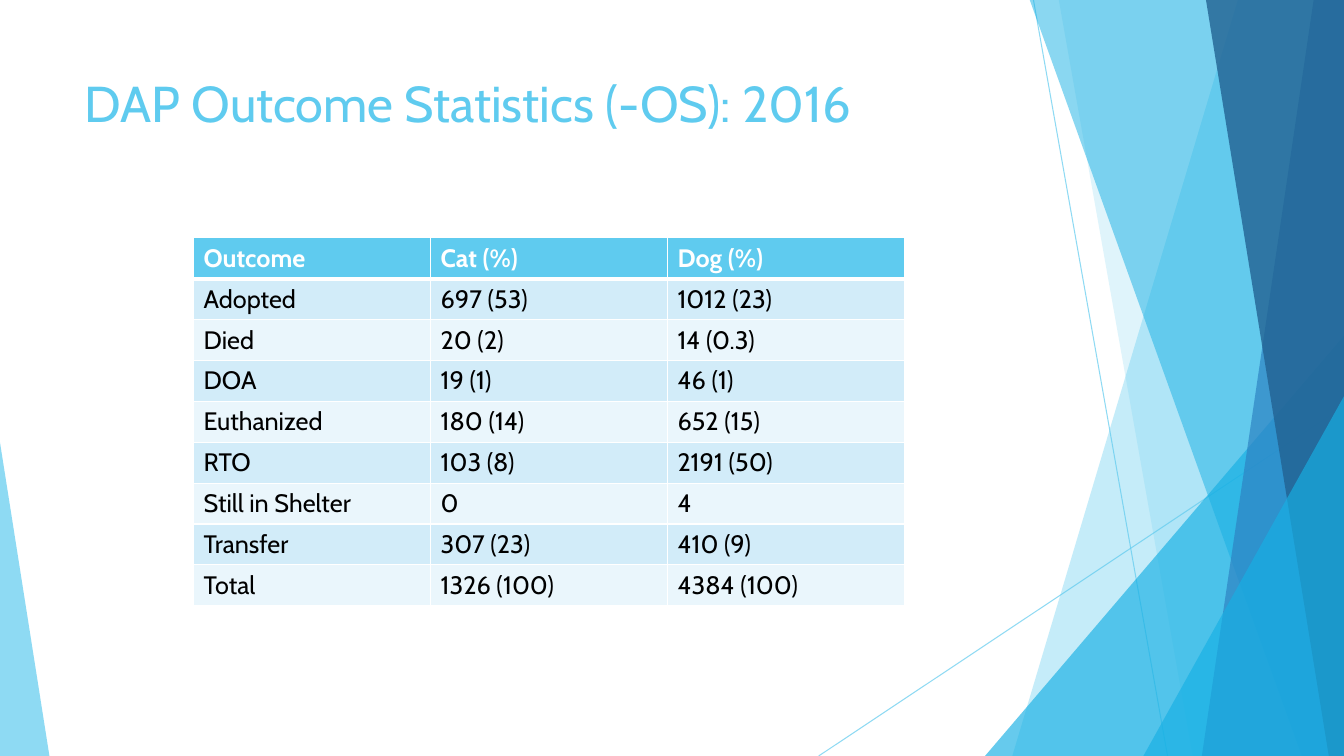
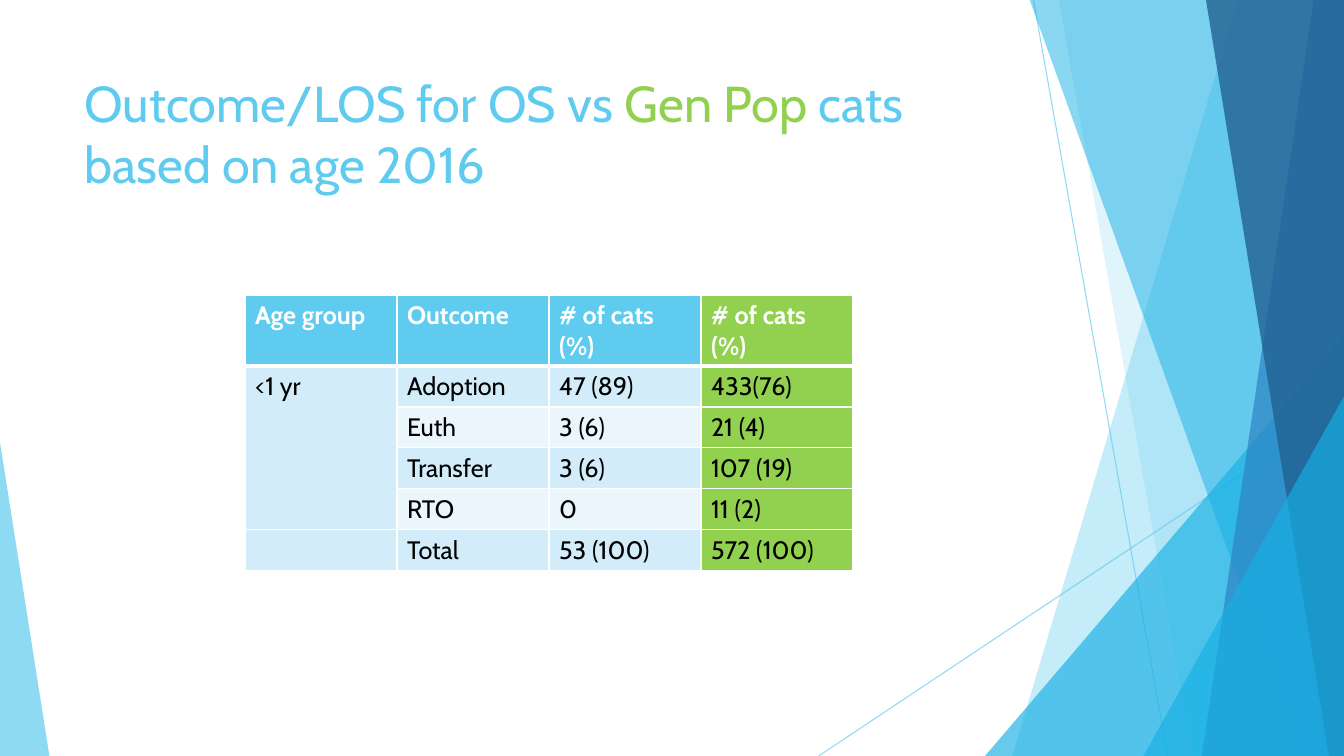
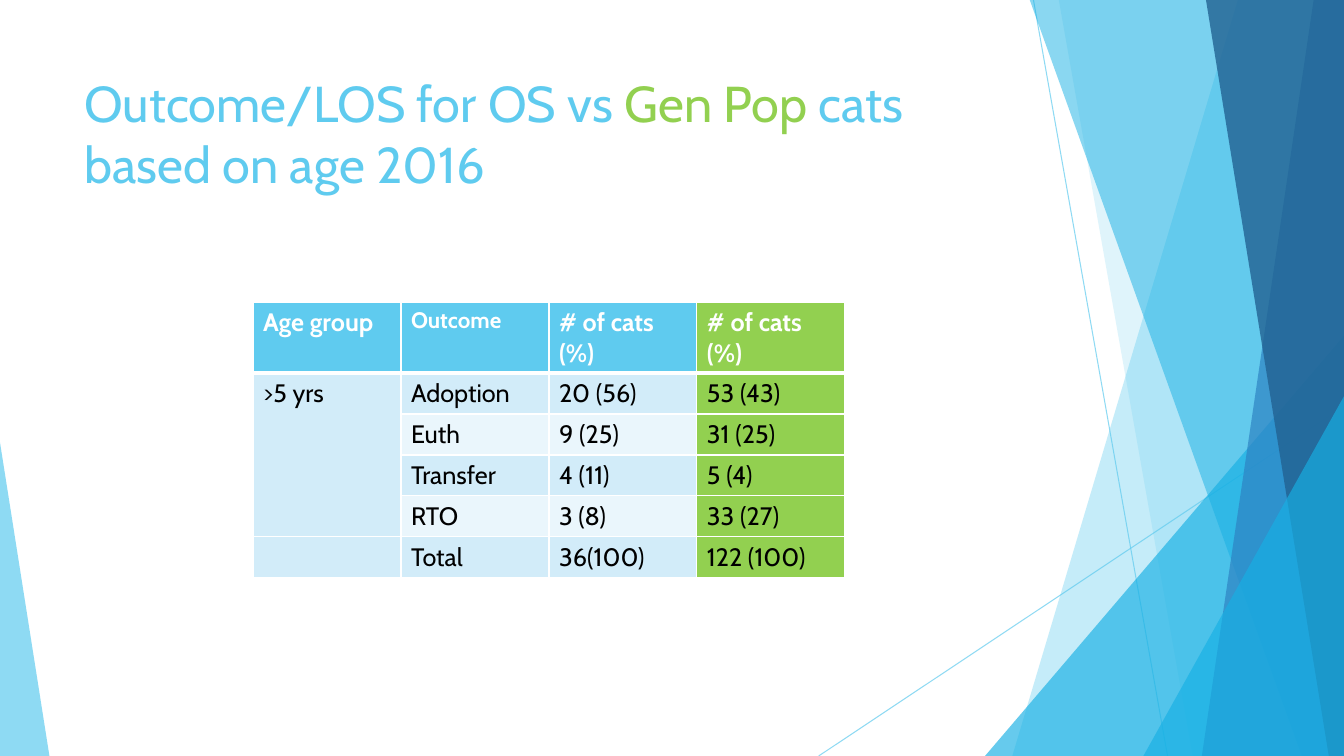
from lxml import etree
from pptx import Presentation
from pptx.dml.color import RGBColor
from pptx.enum.shapes import MSO_CONNECTOR, MSO_SHAPE
from pptx.enum.text import MSO_ANCHOR
from pptx.oxml.ns import qn
from pptx.util import Emu, Pt

PX = 9144  # 100 px to the inch
SLIDE_W, SLIDE_H = 1333, 750
FONT = "Cabin"
STRAIGHT = MSO_CONNECTOR.STRAIGHT
TRIANGLE = MSO_SHAPE.ISOSCELES_TRIANGLE
TOP = MSO_ANCHOR.TOP

COLORS = {
    "sky": "5FCBEF", "cyan": "17B0E4", "blue": "2E83C3", "navy": "226292",
    "green": "92D050", "band_dark": "D2ECF9", "band_light": "EAF6FC",
    "white": "FFFFFF", "black": "000000",
}

# Lines: x1, y1, x2, y2
LINES = [(1025, 0, 1158, 750), (1333, 403, 812, 750)]
# Back to front. Band: top x, bottom x. Triangle: left, top, width, apex position.
DECOR = [
    ("band", (1228, 1004), "sky", 36),
    ("band", (1050, 1183), "sky", 20),
    ("triangle", (977, 333, 356, 1), "cyan", 66),
    ("band", (1021, 1291), "cyan", 50),
    ("band", (1303, 1192), "blue", 70),
    ("band", (1196, 1318), "navy", 80),
    ("triangle", (1134, 393, 199, 1), "cyan", 66),
    ("triangle", (0, 439, 49, 0), "sky", 70),
]

TITLE_BOX = (74, 67, 940, 144)
AGE_TITLE = [("Outcome/LOS for OS vs ", "sky"), ("Gen Pop ", "green"),
             ("cats based on age 2016", "sky")]
AGE_HEADER = ["Age group", "Outcome", "# of cats (%)", "# of cats (%)"]

SLIDES = [
    {
        "title": [("DAP Outcome Statistics (-OS): 2016", "sky")],
        "box": (192, 236, 705, 365),
        "rows": [
            ["Outcome", "Cat (%)", "Dog (%)"],
            ["Adopted", "697 (53)", "1012 (23)"],
            ["Died", "20 (2)", "14 (0.3)"],
            ["DOA", "19 (1)", "46 (1)"],
            ["Euthanized", "180 (14)", "652 (15)"],
            ["RTO", "103 (8)", "2191 (50)"],
            ["Still in Shelter", "0", "4"],
            ["Transfer", "307 (23)", "410 (9)"],
            ["Total", "1326 (100)", "4384 (100)"],
        ],
    },
    {
        "title": AGE_TITLE,
        "box": (243, 293, 603, 273),
        "rows": [
            AGE_HEADER,
            ["<1 yr", "Adoption", "47 (89)", "433(76)"],
            ["", "Euth", "3 (6)", "21 (4)"],
            ["", "Transfer", "3 (6)", "107 (19)"],
            ["", "RTO", "0", "11 (2)"],
            ["", "Total", "53 (100)", "572 (100)"],
        ],
        "merge": ((1, 0), (4, 0)),
        "green_col": 3,
    },
    {
        "title": AGE_TITLE,
        "box": (251, 300, 587, 273),
        "rows": [
            AGE_HEADER,
            [">5 yrs", "Adoption", "20 (56)", "53 (43)"],
            ["", "Euth", "9 (25)", "31 (25)"],
            ["", "Transfer", "4 (11)", "5 (4)"],
            ["", "RTO", "3 (8)", "33 (27)"],
            ["", "Total", "36(100)", "122 (100)"],
        ],
        "merge": ((1, 0), (4, 0)),
        "green_col": 3,
        "sizes": {(0, 1): 16},
    },
]


def px(*values):
    return [Emu(round(v * PX)) for v in values]


def rgb(name):
    return RGBColor.from_string(COLORS[name])


def set_alpha(props, percent):
    color = next(props.iter(qn("a:srgbClr")))
    etree.SubElement(color, qn("a:alpha")).set("val", str(percent * 1000))


def format_run(r, size, color, bold=False):
    r.font.name = FONT
    r.font.size = Pt(size)
    r.font.bold = bold
    r.font.color.rgb = rgb(color)


def add_decor(s):
    for ends in LINES:
        line = s.shapes.add_connector(STRAIGHT, *px(*ends))
        line.line.width = Pt(0.75)
        line.line.color.rgb = rgb("sky")
        props = line._element.spPr
        set_alpha(props, 70)
        etree.SubElement(props, qn("a:effectLst"))
    for kind, place, color, alpha in DECOR:
        if kind == "band":
            top_x, bottom_x = place
            builder = s.shapes.build_freeform(*px(top_x, -1))
            corners = [(SLIDE_W, -1), (SLIDE_W, SLIDE_H), (bottom_x, SLIDE_H)]
            builder.add_line_segments([px(*c) for c in corners], close=True)
            sp = builder.convert_to_shape()
        else:
            left, top, width, apex = place
            sp = s.shapes.add_shape(TRIANGLE, *px(left, top, width, SLIDE_H - top))
            sp.adjustments[0] = apex
        sp.shadow.inherit = False
        sp.line.fill.background()
        sp.fill.solid()
        sp.fill.fore_color.rgb = rgb(color)
        set_alpha(sp._element.spPr, alpha)


def add_title(s, parts):
    tf = s.shapes.add_textbox(*px(*TITLE_BOX)).text_frame
    tf.word_wrap = True
    tf.vertical_anchor = TOP
    for text, color in parts:
        r = tf.paragraphs[0].add_run()
        r.text = text
        format_run(r, 36, color)


def set_borders(cell, row):
    """White rules of 1 pt, with 3 pt between the header and the body."""
    widths = {"L": 1, "R": 1, "T": 3 if row == 1 else 1, "B": 3 if row == 0 else 1}
    props = cell._tc.get_or_add_tcPr()
    for side, width in widths.items():
        ln = etree.SubElement(props, qn(f"a:ln{side}"), w=str(Pt(width)))
        fill = etree.SubElement(ln, qn("a:solidFill"))
        etree.SubElement(fill, qn("a:srgbClr"), val=COLORS["white"])


def cell_color(row, is_green):
    if is_green:
        return "green"
    if row == 0:
        return "sky"
    return "band_dark" if row % 2 else "band_light"


def add_outcome_table(s, box, rows, merge=None, green_col=None, sizes=None):
    left, top, width, height = px(*box)
    n_rows, n_cols = len(rows), len(rows[0])
    table = s.shapes.add_table(n_rows, n_cols, left, top, width, height).table
    row_h = Emu(365 * PX // 9)
    for col in table.columns:
        col.width = Emu(width // n_cols)
    for row in table.rows:
        row.height = row_h
    table.rows[0].height = Emu(height - row_h * (n_rows - 1))
    for i, texts in enumerate(rows):
        for j, text in enumerate(texts):
            cell = table.cell(i, j)
            set_borders(cell, i)
            cell.fill.solid()
            cell.fill.fore_color.rgb = rgb(cell_color(i, j == green_col))
            p = cell.text_frame.paragraphs[0]
            p.text = text
            for r in p.runs:
                format_run(r, (sizes or {}).get((i, j), 18),
                           "black" if i else "white", bold=i == 0)
    if merge:
        first, last = merge
        table.cell(*first).merge(table.cell(*last))


def main():
    prs = Presentation()
    prs.slide_width, prs.slide_height = px(SLIDE_W, SLIDE_H)
    for content in SLIDES:
        s = prs.slides.add_slide(prs.slide_layouts[6])
        add_decor(s)
        add_title(s, content["title"])
        add_outcome_table(s, content["box"], content["rows"], content.get("merge"),
                          content.get("green_col"), content.get("sizes"))
    prs.save("out.pptx")


if __name__ == "__main__":
    main()
